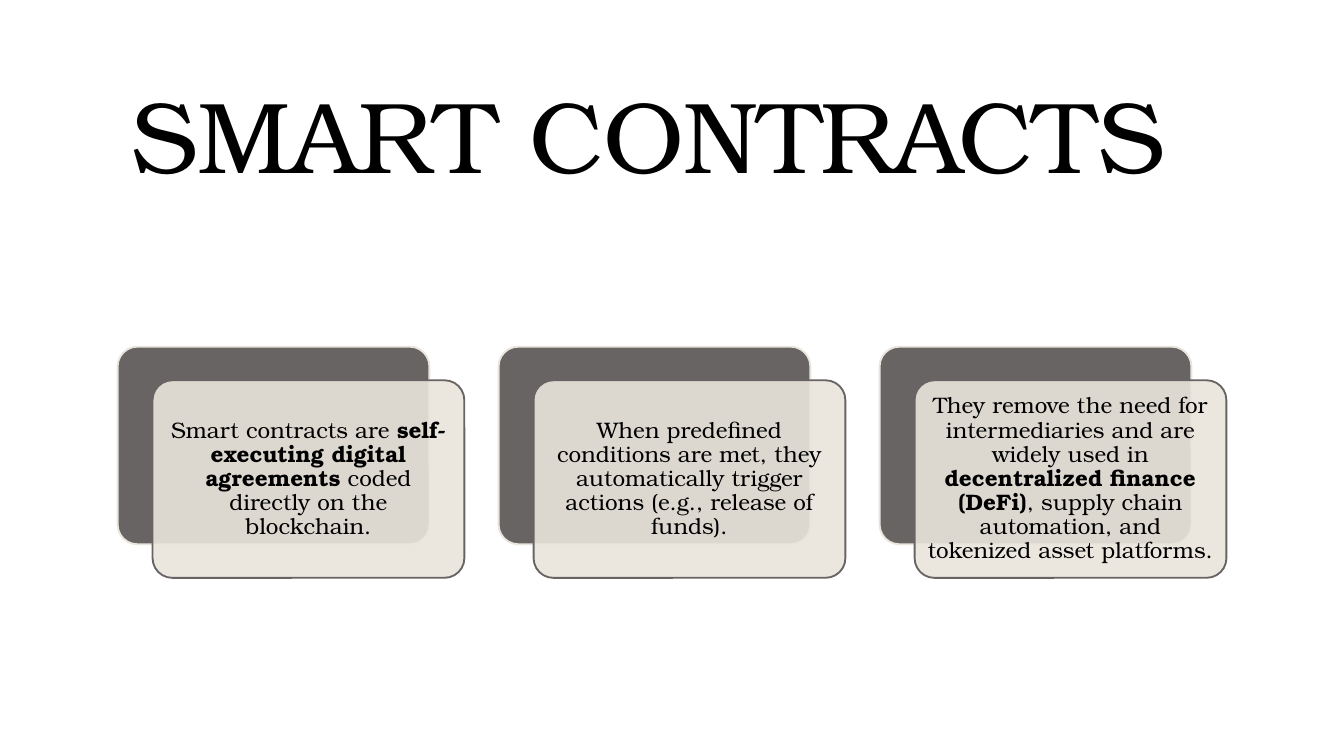
import pptx
import pptx.dml.color
import pptx.enum.shapes
import pptx.enum.text
import pptx.oxml.ns
import pptx.util
from pptx.util import Inches

BLACK = pptx.dml.color.RGBColor(0x00, 0x00, 0x00)
GRAY = pptx.dml.color.RGBColor(0x69, 0x64, 0x64)
CREAM = pptx.dml.color.RGBColor(0xE9, 0xE5, 0xDC)

FONT_NAME = "TeX Gyre Bonum"
SLIDE_WIDTH = 10
SLIDE_HEIGHT = SLIDE_WIDTH * 9 / 16
CONTENT_WIDTH = 8.25
CONTENT_LEFT = (SLIDE_WIDTH - CONTENT_WIDTH) / 2
CARD_WIDTH, CARD_HEIGHT = 2.58, 1.72
PANEL_WIDTH, PANEL_HEIGHT = 2.32, 1.47
TEXT_INSET = 0.04

CARDS = [
    [
        ("Smart contracts are ", False),
        ("self-executing digital agreements", True),
        (" coded directly on the blockchain.", False),
    ],
    [
        (
            "When predefined conditions are met, they automatically trigger "
            "actions (e.g., release of funds).",
            False,
        ),
    ],
    [
        ("They remove the need for intermediaries and are widely used in ", False),
        ("decentralized finance (DeFi)", True),
        (", supply chain automation, and tokenized asset platforms.", False),
    ],
]


def apply_format(target, values):
    for name, value in values.items():
        setattr(target, name, value)


def write_text(shape, runs, size, alignment, side_margin):
    frame = shape.text_frame
    apply_format(frame, {
        "word_wrap": True,
        "auto_size": pptx.enum.text.MSO_AUTO_SIZE.NONE,
        "vertical_anchor": pptx.enum.text.MSO_ANCHOR.MIDDLE,
        "margin_left": Inches(side_margin),
        "margin_right": Inches(side_margin),
        "margin_top": Inches(0.05),
        "margin_bottom": Inches(0.05),
    })
    paragraph = frame.paragraphs[0]
    apply_format(paragraph, {"alignment": alignment, "line_spacing": 0.9})
    for text, bold in runs:
        run = paragraph.add_run()
        run.text = text
        apply_format(run.font, {
            "name": FONT_NAME,
            "size": pptx.util.Pt(size),
            "bold": bold,
        })
        run.font.color.rgb = BLACK


def place_title(slide, left, top, width, height):
    title = slide.shapes.title
    apply_format(title, {
        "left": Inches(left),
        "top": Inches(top),
        "width": Inches(width),
        "height": Inches(height),
    })
    write_text(title, [("SMART CONTRACTS", False)], 54,
               pptx.enum.text.PP_ALIGN.LEFT, 0.1)


def add_panel(slide, left, top, fill_color, line_color):
    panel = slide.shapes.add_shape(
        pptx.enum.shapes.MSO_SHAPE.ROUNDED_RECTANGLE,
        Inches(left), Inches(top), Inches(PANEL_WIDTH), Inches(PANEL_HEIGHT),
    )
    panel.adjustments[0] = 0.1
    panel.shadow.inherit = False
    panel.fill.solid()
    panel.fill.fore_color.rgb = fill_color
    panel.line.color.rgb = line_color
    panel.line.width = pptx.util.Pt(1)
    return panel


def set_opacity(shape, percent):
    color = shape.fill._xPr.find(".//" + pptx.oxml.ns.qn("a:srgbClr"))
    alpha = color.makeelement(pptx.oxml.ns.qn("a:alpha"), {"val": str(percent * 1000)})
    color.append(alpha)


def add_card(slide, left, top, width, height, runs):
    add_panel(slide, left, top, GRAY, CREAM)
    front_left = left + width - PANEL_WIDTH
    front_top = top + height - PANEL_HEIGHT
    front = add_panel(slide, front_left, front_top, CREAM, GRAY)
    set_opacity(front, 90)
    text_box = slide.shapes.add_textbox(
        Inches(front_left + TEXT_INSET), Inches(front_top + TEXT_INSET),
        Inches(PANEL_WIDTH - 2 * TEXT_INSET), Inches(PANEL_HEIGHT - 2 * TEXT_INSET),
    )
    write_text(text_box, runs, 12, pptx.enum.text.PP_ALIGN.CENTER, 0.05)


def add_card_row(slide, left, top, width, height):
    pitch = (width - CARD_WIDTH) / (len(CARDS) - 1)
    for index, runs in enumerate(CARDS):
        add_card(slide, left + index * pitch, top, CARD_WIDTH, height, runs)


def main():
    presentation = pptx.Presentation()
    presentation.slide_width = Inches(SLIDE_WIDTH)
    presentation.slide_height = Inches(SLIDE_HEIGHT)
    slide = presentation.slides.add_slide(
        presentation.slide_layouts.get_by_name("Title Only"))
    place_title(slide, CONTENT_LEFT, 0.39, CONTENT_WIDTH, 1.32)
    add_card_row(slide, CONTENT_LEFT, 2.58, CONTENT_WIDTH, CARD_HEIGHT)
    presentation.save("out.pptx")


if __name__ == "__main__":
    main()
